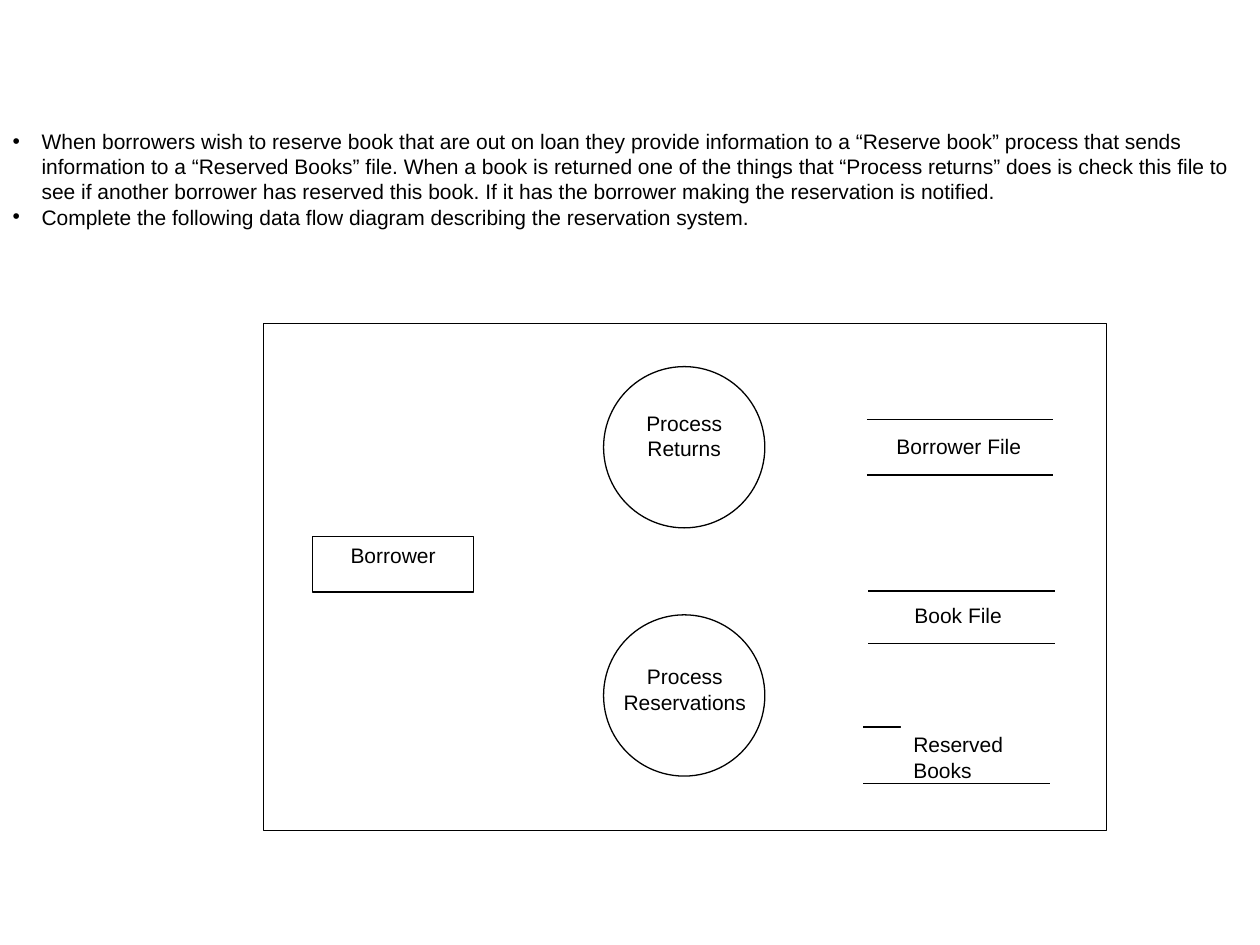
from dataclasses import dataclass

from lxml import etree
from pptx import Presentation
from pptx.dml.color import RGBColor
from pptx.enum.shapes import MSO_CONNECTOR, MSO_SHAPE
from pptx.enum.text import MSO_ANCHOR, MSO_AUTO_SIZE, PP_ALIGN
from pptx.oxml.ns import qn
from pptx.util import Inches, Pt

RECTANGLE = MSO_SHAPE.RECTANGLE
ELLIPSE = MSO_SHAPE.OVAL
STRAIGHT = MSO_CONNECTOR.STRAIGHT
TOP = MSO_ANCHOR.TOP
FIXED = MSO_AUTO_SIZE.NONE
LEFT = PP_ALIGN.LEFT
CENTER = PP_ALIGN.CENTER

COLUMNS, ROWS = 100, 75


@dataclass(frozen=True)
class Theme:
    font: str = "Arial"
    size: Pt = Pt(12)
    stroke: Pt = Pt(0.75)
    ink: RGBColor = RGBColor(0, 0, 0)
    paper: RGBColor = RGBColor(255, 255, 255)


def write(para, text, theme, align=LEFT):
    span = para.add_run()
    span.text = text
    span.font.name = theme.font
    span.font.size = theme.size
    span.font.color.rgb = theme.ink
    para.alignment = align
    para.space_before = Pt(0)


class DiagramPage:
    def __init__(self, deck, theme):
        self.theme = theme
        self.column = deck.slide_width / COLUMNS
        self.row = deck.slide_height / ROWS
        self.page = deck.slides.add_slide(deck.slide_layouts[1])
        title = self.page.shapes.title
        title.element.getparent().remove(title.element)

    def place(self, left, top, width, height):
        return (round(left * self.column), round(top * self.row),
                round(width * self.column), round(height * self.row))

    def bullets(self, items, area):
        body = self.page.placeholders[1]
        body.left, body.top, body.width, body.height = self.place(*area)
        frame = body.text_frame
        frame.auto_size = FIXED
        frame.vertical_anchor = TOP
        for index, item in enumerate(items):
            para = frame.add_paragraph() if index else frame.paragraphs[0]
            properties = para._p.get_or_add_pPr()
            properties.set("marL", str(Inches(0.23)))
            properties.set("indent", str(-Inches(0.23)))
            write(para, item, self.theme)

    def shape(self, kind, area, outlined=True, filled=True):
        shape = self.page.shapes.add_shape(kind, *self.place(*area))
        shape.shadow.inherit = False
        if filled:
            shape.fill.solid()
            shape.fill.fore_color.rgb = self.theme.paper
        else:
            shape.fill.background()
        if outlined:
            shape.line.color.rgb = self.theme.ink
            shape.line.width = self.theme.stroke
        else:
            shape.line.fill.background()
        return shape

    def label(self, text, area, outlined=False, align=CENTER, inset=1, right_inset=None):
        box = self.shape(RECTANGLE, area, outlined)
        frame = box.text_frame
        frame.word_wrap = True
        frame.vertical_anchor = TOP
        frame.margin_left = round(inset * self.column)
        frame.margin_right = round((inset if right_inset is None else right_inset) * self.column)
        write(frame.paragraphs[0], text, self.theme, align=align)

    def rule(self, left, top, width):
        start, level, length, _ = self.place(left, top, width, 0)
        line = self.page.shapes.add_connector(STRAIGHT, start, level, start + length, level)
        line.line.color.rgb = self.theme.ink
        line.line.width = self.theme.stroke
        etree.SubElement(line._element.spPr, qn("a:effectLst"))

    def process(self, text, top, label_area, **options):
        self.shape(ELLIPSE, (47.9, top, 12.8, 12.8))
        self.label(text, label_area, **options)

    def store(self, text, left, top, bottom, label_area, **options):
        for level in (top, bottom):
            self.rule(left, level, 14.8)
        self.label(text, label_area, **options)


def main():
    deck = Presentation()
    deck.slide_width, deck.slide_height = Inches(10), Inches(7.5)
    diagram = DiagramPage(deck, Theme())
    diagram.bullets([
        "When borrowers wish to reserve book that are out on loan they provide "
        "information to a “Reserve book” process that sends information to a "
        "“Reserved Books” file. When a book is returned one of the things that "
        "“Process returns” does is check this file to see if another borrower has "
        "reserved this book. If it has the borrower making the reservation is notified.",
        "Complete the following data flow diagram describing the reservation system.",
    ], (0, 9.7, 100, 11))
    diagram.shape(RECTANGLE, (20.9, 25.7, 66.9, 40.2), filled=False)
    diagram.process("Process Reservations", 48.8, (49.4, 52.2, 9.9, 5.9), inset=0)
    diagram.process("Process Returns", 29.1, (50.2, 32.1, 8.2, 5.6))
    diagram.label("Borrower", (24.8, 42.6, 12.8, 4.4), outlined=True)
    diagram.store("Borrower File", 68.8, 33.3, 37.7, (68.9, 33.9, 14.4, 3))
    diagram.store("Book File", 68.9, 46.9, 51.1, (68.8, 47.3, 14.5, 2.9))
    diagram.store("Reserved Books", 68.5, 57.7, 62.2, (71.5, 57.6, 14.1, 3.4),
                  align=LEFT, right_inset=3)
    deck.save("out.pptx")


if __name__ == "__main__":
    main()
